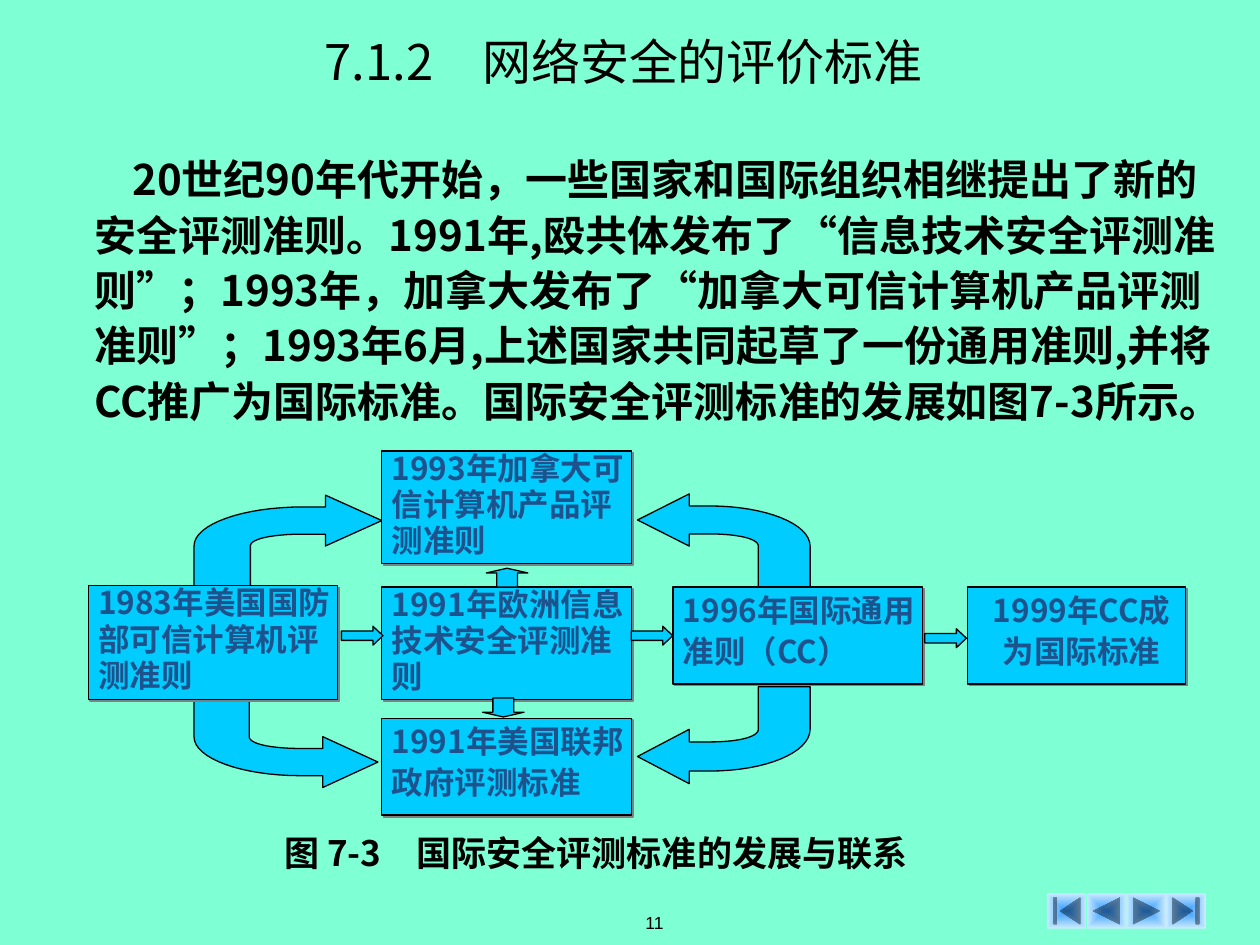
import pptx
import pptx.dml.color
import pptx.enum.shapes
import pptx.enum.text
import pptx.oxml
import pptx.oxml.ns
import pptx.util
from lxml import etree

PX = 9144  # EMU per px, 100 px to the inch
HUES = {
    "page": "7FFFD4",
    "box": "00CCFF",
    "ink": "000000",
    "label": "1D528D",
    "shade": "808080",
    "core": "3399FF",
    "rim": "CCECFF",
}
CJK = "Noto Sans CJK SC"
KINDS = pptx.enum.shapes.MSO_SHAPE
ALIGN = pptx.enum.text.PP_ALIGN
ANCHOR = pptx.enum.text.MSO_ANCHOR
qn = pptx.oxml.ns.qn


def hue(name):
    return pptx.dml.color.RGBColor.from_string(HUES[name])


def emu(*sizes):
    return [round(size * PX) for size in sizes]


def apply(target, values):
    for key, value in values.items():
        setattr(target, key, value)


def write(shape, text, size, color="ink", bold=False, face=CJK, align=ALIGN.LEFT,
          space=1.0, pad=(0, 0, 0, 0), anchor=ANCHOR.TOP, wrap=True):
    frame = shape.text_frame
    left, top, right, bottom = emu(*pad)
    apply(frame, {
        "text": text, "word_wrap": wrap, "vertical_anchor": anchor,
        "auto_size": pptx.enum.text.MSO_AUTO_SIZE.NONE,
        "margin_left": left, "margin_top": top,
        "margin_right": right, "margin_bottom": bottom,
    })
    para = frame.paragraphs[0]
    apply(para, {"alignment": align, "line_spacing": space,
                 "space_before": pptx.util.Pt(0)})
    run = para.runs[0]
    apply(run.font, {"name": face, "size": pptx.util.Pt(size), "bold": bold})
    run.font.color.rgb = hue(color)
    east = etree.SubElement(run.font._element, qn("a:ea"))
    east.set("typeface", face)
    return para


def paint(shape):
    shape.shadow.inherit = False
    shape.fill.solid()
    shape.fill.fore_color.rgb = hue("box")
    shape.line.color.rgb = hue("ink")
    shape.line.width = pptx.util.Pt(0.75)


def drop(shape):
    """Add a small hard shadow to the lower right."""
    effects = shape._element.spPr.find(qn("a:effectLst"))
    cast = etree.SubElement(effects, qn("a:outerShdw"),
                            dist="17961", dir="2700000", algn="ctr")
    etree.SubElement(cast, qn("a:srgbClr"), val=HUES["shade"])


def head(slide, box):
    title = slide.shapes.title
    apply(title, dict(zip(("left", "top", "width", "height"), emu(*box))))
    write(title, "7.1.2　网络安全的评价标准", 28, align=ALIGN.CENTER,
          pad=(10, 5, 10, 5), anchor=ANCHOR.MIDDLE)


def body(slide, box):
    holder = slide.placeholders[1]
    apply(holder, dict(zip(("left", "top", "width", "height"), emu(*box))))
    para = write(
        holder,
        "20世纪90年代开始，一些国家和国际组织相继提出了新的安全评测准则。"
        "1991年,殴共体发布了“信息技术安全评测准则”；1993年，加拿大发布了"
        "“加拿大可信计算机产品评测准则”；1993年6月,上述国家共同起草了一份"
        "通用准则,并将CC推广为国际标准。国际安全评测标准的发展如图7-3所示。",
        24, bold=True, space=1.1)
    props = para._p.get_or_add_pPr()
    props.set("marL", "0")
    props.set("indent", str(30 * PX))
    etree.SubElement(props, qn("a:buNone"))


def bend(slide, box, right, down):
    """Draw a curved arrow that leaves a box side and turns to a flat head."""
    left, top, width, height = box

    def spot(x, y):
        x = x if right else 1 - x
        y = y if down else 1 - y
        return tuple(emu(left + x * width, top + y * height))

    def curve(a, b, c, d, steps=16):
        for step in range(1, steps + 1):
            t = step / steps
            s = 1 - t
            yield tuple(s**3 * p + 3 * s * s * t * q + 3 * s * t * t * r + t**3 * e
                        for p, q, r, e in zip(a, b, c, d))

    points = [
        (0, 0.44), *curve((0, 0.44), (0, 0.68), (0.26, 0.87), (0.58, 0.87)),
        (0.7, 0.87), (0.7, 1), (1, 0.72), (0.7, 0.44), (0.7, 0.57), (0.58, 0.57),
        *curve((0.58, 0.57), (0.42, 0.57), (0.3, 0.52), (0.3, 0.44)), (0.3, 0),
    ]
    draft = slide.shapes.build_freeform(*spot(0, 0), scale=1.0)
    draft.add_line_segments([spot(*point) for point in points], close=True)
    paint(draft.convert_to_shape())


def chart(slide, x, y):
    """Place the flow of standards, with its top left corner at x, y."""
    bends = [
        ((84, 195, 146, 72), True, True),
        ((84, 35, 149, 72), True, False),
        ((436, 34, 137, 74), False, False),
        ((436, 187, 137, 77), False, True),
    ]
    for (left, top, width, height), right, down in bends:
        bend(slide, (x + left, y + top, width, height), right, down)

    mid = 108
    boxes = [
        ("1993年加拿大可信计算机产品评测准则", 233, 0, 198, 89, 0.96, ALIGN.LEFT),
        ("1991年欧洲信息技术安全评测准则", 233, mid, 198, 89, 0.96, ALIGN.LEFT),
        ("1991年美国联邦政府评测标准", 233, 212, 198, 77, 1.1, ALIGN.LEFT),
        ("1983年美国国防部可信计算机评测准则", 0, 107, 198, 90, 0.96, ALIGN.LEFT),
        ("1996年国际通用准则（CC）", 464, mid, 198, 77, 1.1, ALIGN.LEFT),
        ("1999年CC成为国际标准", 698, mid, 173, 77, 1.1, ALIGN.CENTER),
    ]
    for text, left, top, width, height, space, align in boxes:
        shape = slide.shapes.add_shape(
            KINDS.RECTANGLE, *emu(x + left, y + top, width, height))
        paint(shape)
        drop(shape)
        write(shape, text, 18, "label", True, align=align, space=space,
              pad=(8, 0, 0, 0))

    arrows = [
        (KINDS.RIGHT_ARROW, 201, 139, 0.53),
        (KINDS.RIGHT_ARROW, 431, 139, 0.53),
        (KINDS.RIGHT_ARROW, 664, 141, 0.53),
        (KINDS.UP_ARROW, 316, 93, 0.25),
        (KINDS.DOWN_ARROW, 313, 196, 0.25),
    ]
    for kind, left, top, tip in arrows:
        arrow = slide.shapes.add_shape(kind, *emu(x + left, y + top, 33, 15))
        arrow.adjustments[0] = 0.5
        arrow.adjustments[1] = tip
        paint(arrow)


def note(slide, box, text, size, **style):
    shape = slide.shapes.add_textbox(*emu(*box))
    write(shape, text, size, align=ALIGN.CENTER, **style)


def keys(slide, box):
    """Place the row of navigation buttons in the box."""
    left, top, width, height = box
    kinds = [KINDS.ACTION_BUTTON_BEGINNING, KINDS.ACTION_BUTTON_BACK_OR_PREVIOUS,
             KINDS.ACTION_BUTTON_FORWARD_OR_NEXT, KINDS.ACTION_BUTTON_END]
    step = width / len(kinds)
    for place, kind in enumerate(kinds):
        key = slide.shapes.add_shape(
            kind, *emu(left + place * step, top, step, height))
        key.shadow.inherit = False
        key.line.fill.background()
        key.fill.gradient()
        for stop, name in zip(key.fill.gradient_stops, ("core", "rim")):
            stop.color.rgb = hue(name)
        grad = key._element.spPr.find(qn("a:gradFill"))
        grad.remove(grad.find(qn("a:lin")))
        shade = etree.SubElement(grad, qn("a:path"), path="rect")
        etree.SubElement(shade, qn("a:fillToRect"),
                         dict.fromkeys("ltrb", "50000"))


def main():
    deck = pptx.Presentation()
    deck.slide_width, deck.slide_height = emu(1000, 750)
    slide = deck.slides.add_slide(deck.slide_layouts[1])
    slide.background.fill.solid()
    slide.background.fill.fore_color.rgb = hue("page")
    head(slide, (0, 17, 990, 62))
    body(slide, (75, 118, 895, 264))
    chart(slide, 70, 358)
    note(slide, (205, 662, 536, 31), "图 7-3　国际安全评测标准的发展与联系", 20,
         bold=True, space=0.96)
    note(slide, (413, 714, 213, 36), "11", 10, face="Arial",
         pad=(10, 5, 10, 5), anchor=ANCHOR.MIDDLE)
    keys(slide, (831, 709, 126, 28))
    deck.save("out.pptx")


if __name__ == "__main__":
    main()
